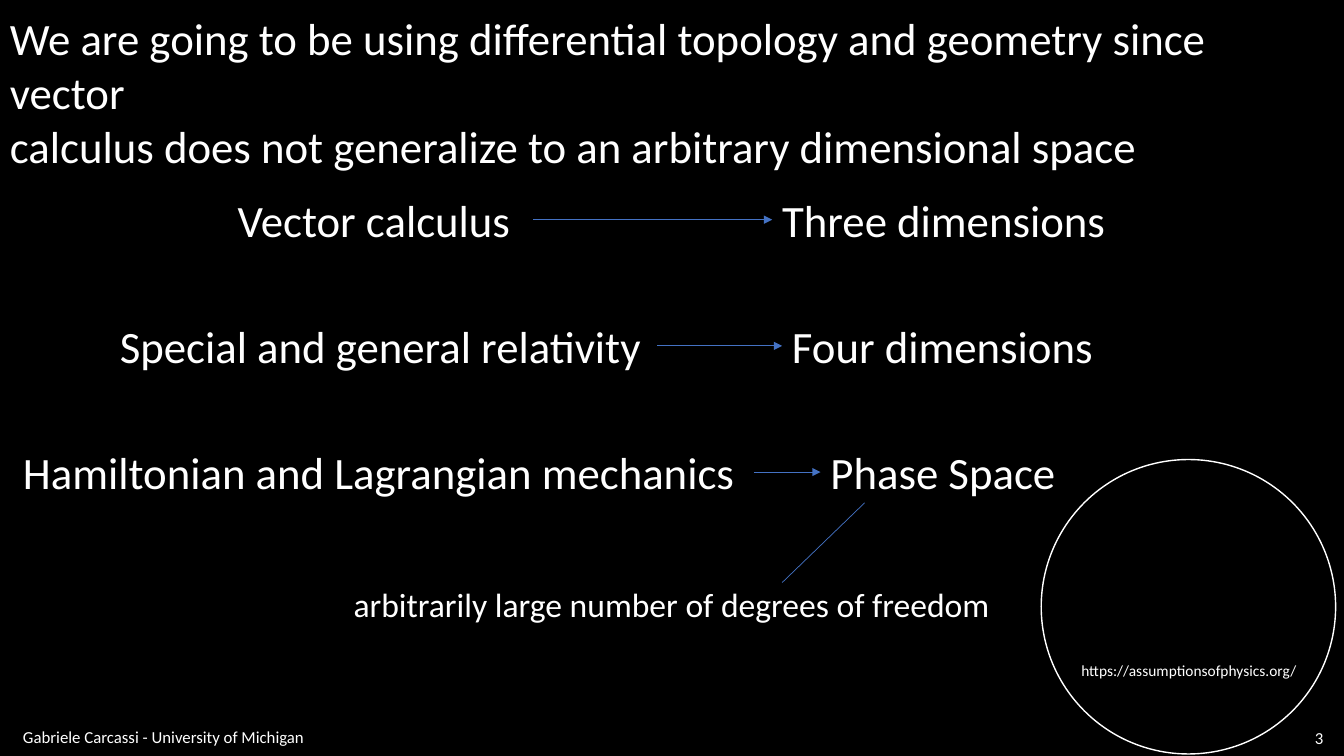
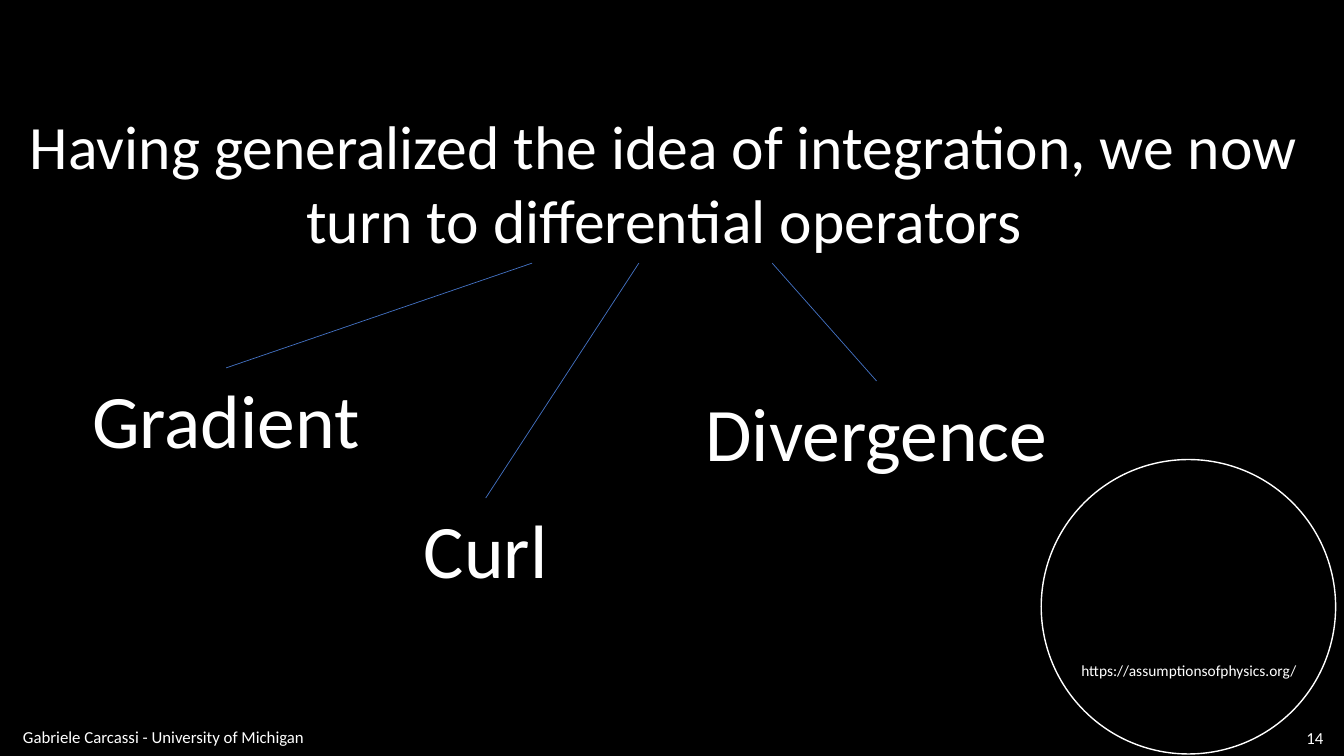
from dataclasses import dataclass

from lxml.etree import SubElement
from pptx import Presentation
from pptx.dml.color import RGBColor
from pptx.enum.shapes import MSO_CONNECTOR, MSO_SHAPE
from pptx.enum.text import MSO_ANCHOR as Anchor, MSO_AUTO_SIZE as AutoSize, PP_ALIGN as Align
from pptx.oxml.ns import qn
from pptx.util import Cm, Pt


@dataclass(frozen=True)
class Theme:
    font: str = "Calibri"
    background: RGBColor = RGBColor(0x00, 0x00, 0x00)
    ink: RGBColor = RGBColor(0xFF, 0xFF, 0xFF)
    accent: RGBColor = RGBColor(0x44, 0x72, 0xC4)
    operator: Pt = Pt(54)
    section: Pt = Pt(44)
    body: Pt = Pt(32)
    detail: Pt = Pt(24)
    footer: Pt = Pt(12)
    address: Pt = Pt(11)
    thin: Pt = Pt(0.5)
    ring: Pt = Pt(1)


theme = Theme()


def add_text(slide, lines, left, top, width, height, size, align=Align.LEFT, footer=False):
    box = slide.shapes.add_textbox(Cm(left), Cm(top), Cm(width), Cm(height))
    frame = box.text_frame
    frame.word_wrap = footer
    frame.auto_size = AutoSize.NONE if footer else AutoSize.SHAPE_TO_FIT_TEXT
    frame.vertical_anchor = Anchor.MIDDLE if footer else Anchor.TOP
    for index, line in enumerate(lines):
        paragraph = frame.add_paragraph() if index else frame.paragraphs[0]
        paragraph.alignment = align
        run = paragraph.add_run()
        run.text = line
        run.font.name = theme.font
        run.font.size = size
        run.font.color.rgb = theme.ink


def add_line(slide, x1, y1, x2, y2, arrow=False):
    line = slide.shapes.add_connector(MSO_CONNECTOR.STRAIGHT, Cm(x1), Cm(y1), Cm(x2), Cm(y2))
    line.line.color.rgb = theme.accent
    line.line.width = theme.thin
    if arrow:
        SubElement(line.line._get_or_add_ln(), qn("a:tailEnd"), type="triangle")
    SubElement(line._element.spPr, qn("a:effectLst"))


prs = Presentation()
prs.slide_width, prs.slide_height = Cm(33.87), Cm(19.05)
master_fill = prs.slide_master.background.fill
master_fill.solid()
master_fill.fore_color.rgb = theme.background

slides = []
for number in ("3", "14"):
    slide = prs.slides.add_slide(prs.slide_layouts[6])
    ring = slide.shapes.add_shape(MSO_SHAPE.OVAL, Cm(26.24), Cm(11.58), Cm(7.42), Cm(7.42))
    ring.shadow.inherit = False
    ring.fill.background()
    ring.line.color.rgb = theme.ink
    ring.line.width = theme.ring
    add_text(slide, ["https://assumptionsofphysics.org/"], 27, 16.54, 5.97, 0.74, theme.address)
    add_text(slide, ["Gabriele Carcassi - University of Michigan"],
             0.33, 18.24, 16.59, 0.66, theme.footer, footer=True)
    add_text(slide, [number], 32.05, 18.26, 1.55, 0.64, theme.footer, Align.RIGHT, footer=True)
    slides.append(slide)
dimensions, operators = slides

add_text(dimensions,
         ["We are going to be using differential topology and geometry since vector",
          "calculus does not generalize to an arbitrary dimensional space"],
         0, 0.15, 33.8, 3, theme.body)

theories = [
    ("Vector calculus", 5.74, 7.7, "Three dimensions", 19.46, 8.66),
    ("Special and general relativity", 2.77, 13.79, "Four dimensions", 19.71, 8.18),
    ("Hamiltonian and Lagrangian mechanics", 0.33, 18.67, "Phase Space", 20.68, 6.25),
]
row_height = 1.63
for row, (theory, left, width, space, space_left, space_width) in enumerate(theories):
    top = 4.72 + row * 3.18
    middle = top + row_height / 2
    add_text(dimensions, [theory], left, top, width, row_height, theme.body)
    add_text(dimensions, [space], space_left, top, space_width, row_height, theme.body)
    add_line(dimensions, left + width, middle, space_left, middle, arrow=True)

add_line(dimensions, 19.71, 14.68, 21.79, 12.67)
add_text(dimensions, ["arbitrarily large number of degrees of freedom"],
         8.66, 14.58, 16.71, 1.27, theme.detail)

add_text(operators,
         ["Having generalized the idea of integration, we now ",
          "turn to differential operators "],
         0.33, 2.59, 33.17, 4.01, theme.section, Align.CENTER)

for name, left, top, width, branch in [
    ("Gradient", 2.03, 9.27, 7.34, 13.41),
    ("Curl", 10.41, 12.55, 3.66, 16.1),
    ("Divergence", 17.48, 9.6, 9.22, 19.46),
]:
    add_text(operators, [name], left, top, width, 2.57, theme.operator, Align.CENTER)
    add_line(operators, branch, 6.63, left + width / 2, top)

prs.save("out.pptx")
